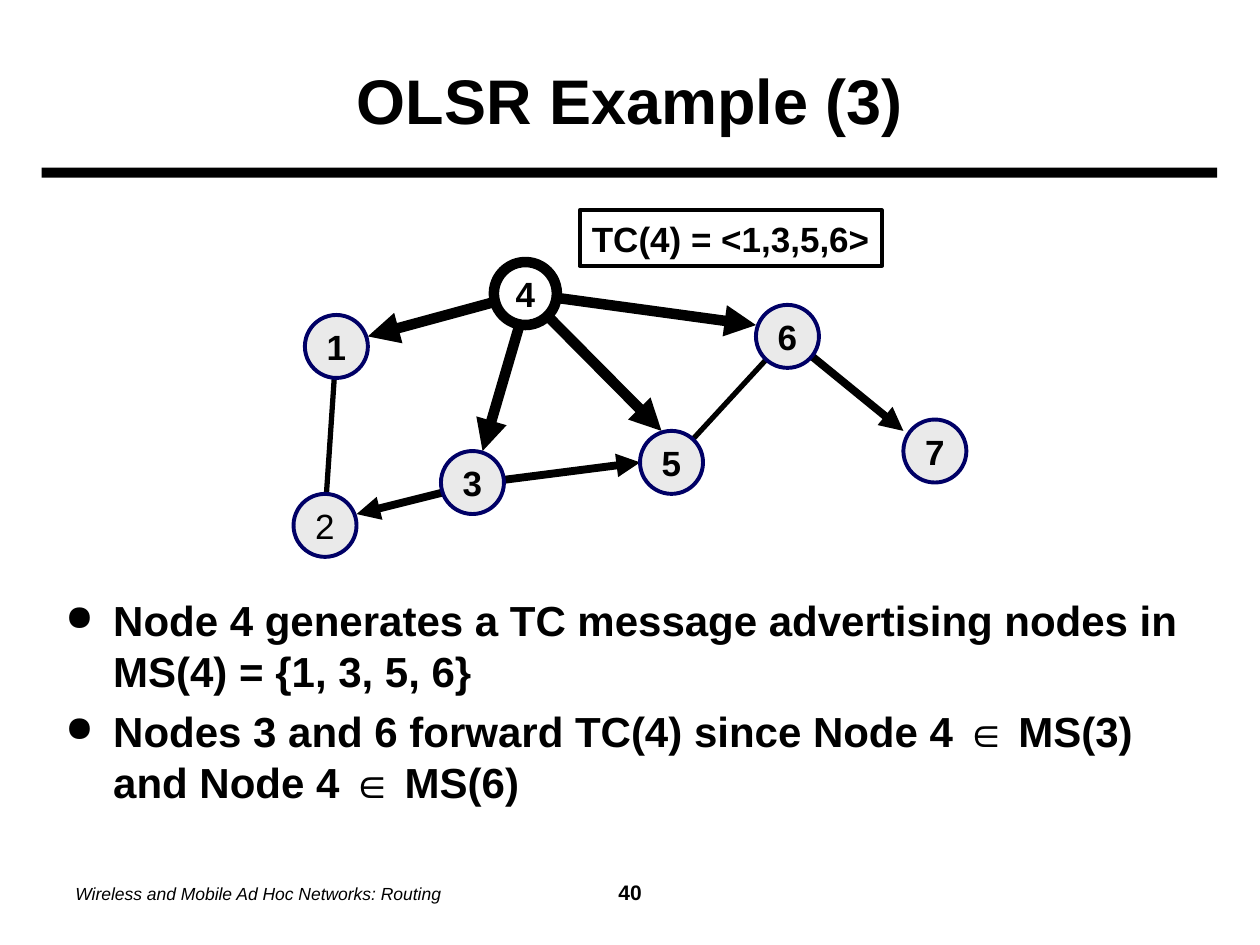
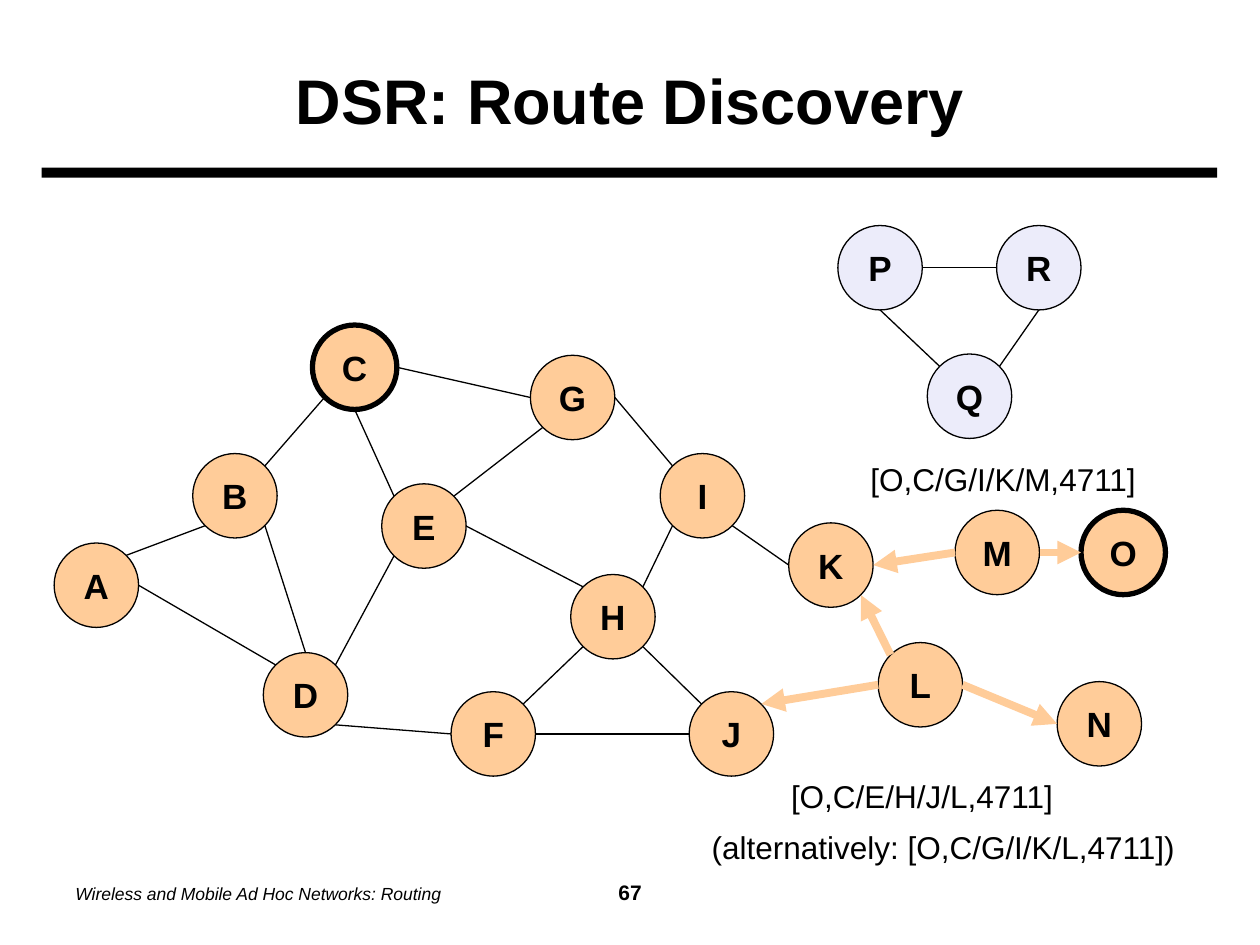
from lxml.etree import SubElement
from pptx import Presentation
from pptx.dml.color import RGBColor
from pptx.enum.shapes import MSO_CONNECTOR, MSO_SHAPE
from pptx.enum.text import MSO_ANCHOR, PP_ALIGN
from pptx.oxml.ns import qn
from pptx.util import Inches, Pt

COLORS = {
    "black": "000000",
    "white": "FFFFFF",
    "gray": "EAEAEA",
    "navy": "000066",
    "orange": "FFCC99",
    "lavender": "ECECFA",
}
FONT_NAME = "Arial"
FOOTER = "Wireless and Mobile Ad Hoc Networks: Routing"
TITLE = {"size": 36, "bold": True}
NODE_TEXT = {"size": 20, "bold": True}
DIAGONAL = 0.71
DIRECTIONS = {
    "n": (0, -1),
    "ne": (DIAGONAL, -DIAGONAL),
    "e": (1, 0),
    "se": (DIAGONAL, DIAGONAL),
    "s": (0, 1),
    "sw": (-DIAGONAL, DIAGONAL),
    "w": (-1, 0),
    "nw": (-DIAGONAL, -DIAGONAL),
}


def rgb(color):
    return RGBColor.from_string(COLORS[color])


class SlideBuilder:
    def __init__(self):
        self.presentation = Presentation()
        self.presentation.slide_width = Inches(10)
        self.presentation.slide_height = Inches(7.5)
        self.slide = None

    def new_slide(self, title, number):
        self.slide = self.presentation.slides.add_slide(self.presentation.slide_layouts[6])
        self.shape(MSO_SHAPE.RECTANGLE, (0.33, 1.33, 9.33, 0.08), "black")
        self.footer(number)
        frame = self.text_box((0.5, 0.25, 9, 1.08), vertical_anchor=MSO_ANCHOR.MIDDLE)
        frame.paragraphs[0].alignment = PP_ALIGN.CENTER
        self.run(frame.paragraphs[0], title, TITLE)

    def run(self, paragraph, text, style):
        run = paragraph.add_run()
        run.text = text
        run.font.name = FONT_NAME
        run.font.color.rgb = rgb("black")
        for name, value in style.items():
            setattr(run.font, name, Pt(value) if name == "size" else value)

    def text_box(self, box, **frame_format):
        frame = self.slide.shapes.add_textbox(*map(Inches, box)).text_frame
        for name, value in {"word_wrap": True, **frame_format}.items():
            setattr(frame, name, value)
        return frame

    def footer(self, number):
        frame = self.text_box((0.5, 6.83, 9, 0.5), vertical_anchor=MSO_ANCHOR.MIDDLE)
        paragraph = frame.paragraphs[0]
        tabs = SubElement(paragraph._p.get_or_add_pPr(), qn("a:tabLst"))
        SubElement(tabs, qn("a:tab"), pos=str(Inches(4.38)), algn="ctr")
        self.run(paragraph, FOOTER, {"size": 10, "italic": True})
        self.run(paragraph, f"\t {number}", {"size": 12, "bold": True})

    def label(self, text, box):
        frame = self.text_box(box, word_wrap=False)
        self.run(frame.paragraphs[0], text, {"size": 18})

    def bullets(self, texts, box):
        frame = self.text_box(box)
        for index, text in enumerate(texts):
            paragraph = frame.add_paragraph() if index else frame.paragraphs[0]
            properties = paragraph._p.get_or_add_pPr()
            properties.set("marL", str(Inches(0.38)))
            properties.set("indent", str(-Inches(0.38)))
            color = SubElement(properties, qn("a:buClr"))
            SubElement(color, qn("a:srgbClr"), val=COLORS["black"])
            SubElement(properties, qn("a:buSzPct"), val="85000")
            SubElement(properties, qn("a:buChar"), char="●")
            if index:
                paragraph.space_before = Pt(6)
            self.run(paragraph, text, {"size": 24, "bold": True})

    def shape(self, kind, box, fill, line=None, width=0.75):
        shape = self.slide.shapes.add_shape(kind, *map(Inches, box))
        shape.shadow.inherit = False
        shape.fill.solid()
        shape.fill.fore_color.rgb = rgb(fill)
        if line:
            shape.line.color.rgb = rgb(line)
            shape.line.width = Pt(width)
        else:
            shape.line.fill.background()
        return shape

    def text_shape(self, kind, text, box, fill, line, width, style=NODE_TEXT):
        frame = self.shape(kind, box, fill, line, width).text_frame
        frame.word_wrap = False
        frame.vertical_anchor = MSO_ANCHOR.MIDDLE
        frame.paragraphs[0].alignment = PP_ALIGN.CENTER
        self.run(frame.paragraphs[0], text, style)

    def node(self, text, corner, diameter, *look):
        box = (*corner, diameter, diameter)
        self.text_shape(MSO_SHAPE.OVAL, text, box, *look)

    def link(self, start, end, color="black", width=0.75, arrow=False):
        connector = self.slide.shapes.add_connector(
            MSO_CONNECTOR.STRAIGHT, *map(Inches, (*start, *end)))
        connector.line.color.rgb = rgb(color)
        connector.line.width = Pt(width)
        properties = connector._element.spPr
        if arrow:
            SubElement(properties.find(qn("a:ln")), qn("a:tailEnd"), type="triangle")
        SubElement(properties, qn("a:effectLst"))


def build_olsr_slide(builder):
    builder.new_slide("OLSR Example (3)", 40)
    builder.bullets([
        "Node 4 generates a TC message advertising nodes in MS(4) = {1, 3, 5, 6}",
        "Nodes 3 and 6 forward TC(4) since Node 4 ∈ MS(3) and Node 4 ∈ MS(6)",
    ], (0.42, 4.67, 9.08, 2.08))

    plain_links = [((2.67, 2.75), (2.58, 4.08)), ((6.25, 2.67), (5.33, 3.67))]
    generated_links = [
        ((4.17, 2.33), (5.25, 3.42)),
        ((4.17, 2.33), (2.92, 2.67)),
        ((4.17, 2.42), (3.83, 3.58)),
        ((4.17, 2.33), (6, 2.58)),
    ]
    forwarded_links = [
        ((3.83, 3.83), (2.83, 4.08)),
        ((3.83, 3.83), (5.08, 3.67)),
        ((6.25, 2.67), (7.17, 3.42)),
    ]
    for links, width, arrow in ((plain_links, 3, False), (generated_links, 6, True),
                                (forwarded_links, 4.5, True)):
        for start, end in links:
            builder.link(start, end, width=width, arrow=arrow)

    nodes = {
        "1": (2.42, 2.5), "3": (3.5, 3.58), "5": (5.08, 3.42),
        "2": (2.33, 3.92), "6": (6, 2.42), "7": (7.17, 3.33),
    }
    for name, corner in nodes.items():
        style = {**NODE_TEXT, "bold": name != "2"}
        builder.node(name, corner, 0.5, "gray", "navy", 2.25, style)
    builder.node("4", (3.92, 2.08), 0.5, "white", "black", 6)
    builder.text_shape(MSO_SHAPE.RECTANGLE, "TC(4) = <1,3,5,6>",
                       (4.6, 1.67, 2.4, 0.44), "white", "black", 2.25)


def build_dsr_slide(builder):
    builder.new_slide("DSR: Route Discovery", 67)
    diameter = 0.67
    nodes = {
        "A": (0.43, 4.31), "B": (1.53, 3.6), "C": (2.48, 2.58), "D": (2.09, 5.18),
        "E": (3.03, 3.84), "F": (3.58, 5.49), "G": (4.21, 2.82), "H": (4.53, 4.56),
        "I": (5.24, 3.6), "J": (5.47, 5.49), "K": (6.26, 4.15), "L": (6.97, 5.1),
        "M": (7.58, 4.05), "N": (8.39, 5.41), "O": (8.58, 4.05), "P": (6.65, 1.79),
        "Q": (7.36, 2.81), "R": (7.91, 1.79),
    }
    for name, corner in nodes.items():
        fill = "lavender" if name in "PQR" else "orange"
        builder.node(name, corner, diameter, fill, "black", 3 if name in "CO" else 0.75)

    def rim(site):
        name, direction = site.split(".")
        return [corner + diameter / 2 * (1 + offset)
                for corner, offset in zip(nodes[name], DIRECTIONS[direction])]

    plain_links = [
        ("A.ne", "B.sw"), ("A.e", "D.nw"), ("B.se", "D.n"), ("B.ne", "C.sw"),
        ("E.nw", "C.s"), ("G.w", "C.e"), ("G.sw", "E.ne"), ("H.nw", "E.e"),
        ("E.sw", "D.ne"), ("F.w", "D.se"), ("H.sw", "F.ne"), ("I.nw", "G.e"),
        ("I.sw", "H.ne"), ("J.nw", "H.se"), ("J.w", "F.e"), ("K.w", "I.se"),
        ("P.s", "Q.nw"), ("P.e", "R.w"), ("Q.ne", "R.s"),
    ]
    for start, end in plain_links:
        builder.link(rim(start), rim(end))
    forwarded_links = [
        ("L.w", "J.ne"), ("L.nw", "K.se"), ("L.e", "N.w"), ("M.w", "K.e"), ("M.e", "O.w"),
    ]
    for start, end in forwarded_links:
        builder.link(rim(start), rim(end), "orange", 4.5, True)

    builder.label("[O,C/E/H/J/L,4711]", (6.18, 6.12, 2.3, 0.4))
    builder.label("(alternatively: [O,C/G/I/K/L,4711])", (5.55, 6.52, 3.89, 0.4))
    builder.label("[O,C/G/I/K/M,4711]", (6.81, 3.6, 2.32, 0.4))


def main():
    builder = SlideBuilder()
    build_olsr_slide(builder)
    build_dsr_slide(builder)
    builder.presentation.save("out.pptx")


if __name__ == "__main__":
    main()
